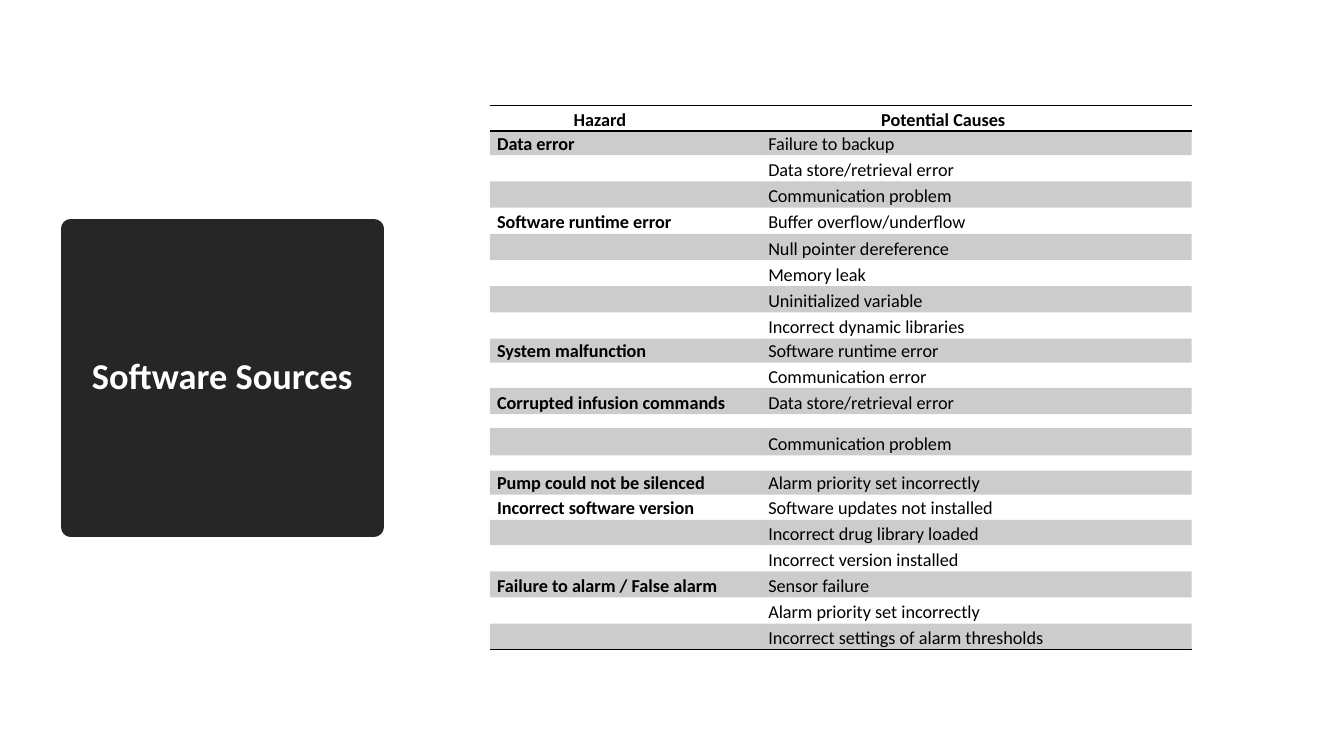
from lxml import etree
from pptx import Presentation
from pptx.dml.color import RGBColor
from pptx.enum.shapes import MSO_SHAPE
from pptx.enum.text import MSO_ANCHOR, PP_ALIGN
from pptx.oxml.ns import qn
from pptx.util import Inches, Pt

RECTANGLE = MSO_SHAPE.RECTANGLE
MIDDLE, BOTTOM = MSO_ANCHOR.MIDDLE, MSO_ANCHOR.BOTTOM
CENTER = PP_ALIGN.CENTER

FONT = "Calibri"
BLACK, WHITE, CHARCOAL = "000000", "FFFFFF", "262626"
PLAIN_TABLE_STYLE = "{2D5ABB26-0587-4C30-8999-92F81FD0307C}"
BAND_ALPHA = 20
TEXT_SIZE = 13
EMPTY_SIZE = 6
TIGHT_SPACING = Pt(11)
COLUMN_WIDTHS = (2.7, 4.26)
HEADER_INDENTS = (0.83, 1.18)
BODY_INDENTS = (0.07, 0.06)

# Row height, tight line spacing, hazard, potential cause
HAZARD_ROWS = [
    (0.25, True, "Hazard", "Potential Causes"),
    (0.24, True, "Data error", "Failure to backup"),
    (0.26, False, "", "Data store/retrieval error"),
    (0.26, False, "", "Communication problem"),
    (0.26, False, "Software runtime error", "Buffer overflow/underflow"),
    (0.26, False, "", "Null pointer dereference"),
    (0.26, False, "", "Memory leak"),
    (0.26, False, "", "Uninitialized variable"),
    (0.26, False, "", "Incorrect dynamic libraries"),
    (0.24, True, "System malfunction", "Software runtime error"),
    (0.25, True, "", "Communication error"),
    (0.26, False, "Corrupted infusion commands", "Data store/retrieval error"),
    (0.14, False, "", ""),
    (0.27, False, "", "Communication problem"),
    (0.15, False, "", ""),
    (0.24, True, "Pump could not be silenced", "Alarm priority set incorrectly"),
    (0.25, True, "Incorrect software version", "Software updates not installed"),
    (0.25, True, "", "Incorrect drug library loaded"),
    (0.26, True, "", "Incorrect version installed"),
    (0.26, False, "Failure to alarm / False alarm", "Sensor failure"),
    (0.26, False, "", "Alarm priority set incorrectly"),
    (0.26, False, "", "Incorrect settings of alarm thresholds"),
]


def rgb(value):
    return RGBColor.from_string(value)


def set_attributes(target, values):
    for name, value in values.items():
        setattr(target, name, value)


def write_text(para, text, size, color, bold):
    span = para.add_run()
    span.text = text
    set_attributes(span.font, {"name": FONT, "size": Pt(size), "bold": bold})
    span.font.color.rgb = rgb(color)


def add_title_block(page, box):
    block = page.shapes.add_shape(RECTANGLE, *map(Inches, box))
    block.shadow.inherit = False
    block.fill.solid()
    block.fill.fore_color.rgb = rgb(CHARCOAL)
    block.line.color.rgb = rgb(CHARCOAL)
    block.line.width = Pt(13.75)
    etree.SubElement(block.element.spPr.find(qn("a:ln")), qn("a:round"))
    frame = block.text_frame
    set_attributes(frame, {"word_wrap": True, "vertical_anchor": MIDDLE})
    para = frame.paragraphs[0]
    set_attributes(para, {"alignment": CENTER, "line_spacing": 0.9})
    write_text(para, "Software Sources", 26, WHITE, True)


def add_borders(cell, sides):
    """Draw black rules on the given sides, in schema order T, B."""
    properties = cell._tc.get_or_add_tcPr()
    for position, side in enumerate(sides):
        line = etree.Element(qn("a:ln" + side), w=str(Pt(1)))
        fill = etree.SubElement(line, qn("a:solidFill"))
        etree.SubElement(fill, qn("a:srgbClr"), val=BLACK)
        properties.insert(position, line)


def shade(cell):
    cell.fill.solid()
    cell.fill.fore_color.rgb = rgb(BLACK)
    color = next(cell._tc.get_or_add_tcPr().iter(qn("a:srgbClr")))
    etree.SubElement(color, qn("a:alpha"), val=str(BAND_ALPHA * 1000))


def fill_cell(cell, text, indent, tight, bold):
    set_attributes(cell, {"margin_left": 0, "margin_right": 0, "margin_top": 0,
                          "margin_bottom": 0, "vertical_anchor": BOTTOM})
    para = cell.text_frame.paragraphs[0]
    if not text:
        # A small end mark keeps empty rows from growing
        etree.SubElement(para._p, qn("a:endParaRPr"), sz=str(EMPTY_SIZE * 100))
        return
    para._p.get_or_add_pPr().set("marL", str(Inches(indent)))
    if tight:
        para.line_spacing = TIGHT_SPACING
    write_text(para, text, TEXT_SIZE, BLACK, bold)


def add_hazard_table(page, box):
    frame = page.shapes.add_table(
        len(HAZARD_ROWS), len(COLUMN_WIDTHS), *map(Inches, box))
    table = frame.table
    set_attributes(table, {"first_row": False, "horz_banding": False})
    next(frame.element.iter(qn("a:tableStyleId"))).text = PLAIN_TABLE_STYLE
    for column, width in zip(table.columns, COLUMN_WIDTHS):
        column.width = Inches(width)
    last = len(HAZARD_ROWS) - 1
    for row, (height, tight, *texts) in enumerate(HAZARD_ROWS):
        table.rows[row].height = Inches(height)
        header = row == 0
        indents = HEADER_INDENTS if header else BODY_INDENTS
        borders = "TB" if header else "B" if row == last else ""
        for column, (text, indent) in enumerate(zip(texts, indents)):
            cell = table.cell(row, column)
            fill_cell(cell, text, indent, tight, header or column == 0)
            if row % 2:
                shade(cell)
            else:
                cell.fill.background()
            add_borders(cell, borders)


def main():
    deck = Presentation()
    deck.slide_width, deck.slide_height = Inches(13.33), Inches(7.5)
    page = deck.slides.add_slide(deck.slide_layouts[6])
    add_title_block(page, (0.7, 2.27, 3.01, 2.96))
    add_hazard_table(page, (4.86, 1.05, 6.96, 5.39))
    deck.save("out.pptx")


if __name__ == "__main__":
    main()
